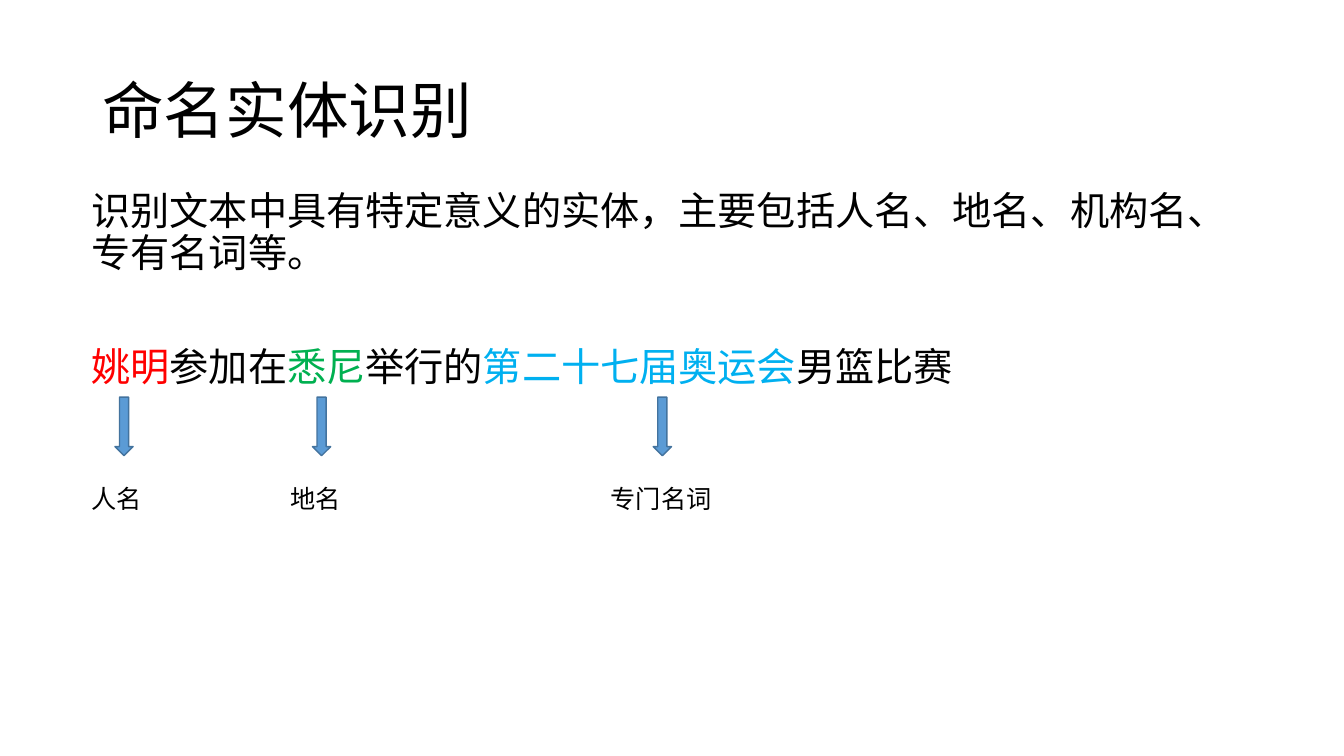
from pptx import Presentation
from pptx.dml.color import RGBColor
from pptx.enum.shapes import MSO_SHAPE
from pptx.enum.text import MSO_ANCHOR
from pptx.util import Pt

DOWN_ARROW = MSO_SHAPE.DOWN_ARROW
TOP = MSO_ANCHOR.TOP
MIDDLE = MSO_ANCHOR.MIDDLE

COLOURS = {
    "text": "000000",
    "person": "FF0000",
    "place": "00B050",
    "term": "00B0F0",
    "arrow": "5B9BD5",
    "arrow_line": "43739E",
}

TITLE = [("命名实体识别", "text")]
DEFINITION = [("识别文本中具有特定意义的实体，主要包括人名、地名、机构名、专有名词等。", "text")]
EXAMPLE = [
    ("姚明", "person"),
    ("参加在", "text"),
    ("悉尼", "place"),
    ("举行的", "text"),
    ("第二十七届奥运会", "term"),
    ("男篮比赛", "text"),
]
ENTITIES = [
    ("人名", 58.3, 67.7, 82.1),
    ("地名", 200.2, 59.8, 223.2),
    ("专门名词", 429.1, 102.2, 466.6),
]


def colour(name):
    return RGBColor.from_string(COLOURS[name])


def set_values(target, values):
    for name, value in values.items():
        setattr(target, name, value)


def add_text(page, place, paragraphs, size, anchor=TOP):
    box = page.shapes.add_textbox(*map(Pt, place))
    frame = box.text_frame
    set_values(frame, {"word_wrap": True, "vertical_anchor": anchor})
    for index, (spans, spacing) in enumerate(paragraphs):
        para = frame.add_paragraph() if index else frame.paragraphs[0]
        set_values(para, spacing)
        for text, colour_name in spans:
            span = para.add_run()
            span.text = text
            set_values(span.font, {"size": Pt(size), "name": "Calibri"})
            span.font.color.rgb = colour(colour_name)


def add_arrow(page, left):
    arrow = page.shapes.add_shape(DOWN_ARROW, Pt(left), Pt(283.7), Pt(13), Pt(41.8))
    arrow.shadow.inherit = False
    arrow.fill.solid()
    arrow.fill.fore_color.rgb = colour("arrow")
    arrow.line.color.rgb = colour("arrow_line")
    arrow.line.width = Pt(1)


def main():
    deck = Presentation()
    set_values(deck, {"slide_width": Pt(960), "slide_height": Pt(540)})
    page = deck.slides.add_slide(deck.slide_layouts[6])

    add_text(page, (66, 28.8, 828, 104.4), [(TITLE, {"line_spacing": 0.9})], 44, MIDDLE)
    body = [
        (DEFINITION, {"line_spacing": 0.9, "space_before": Pt(10)}),
        (EXAMPLE, {"line_spacing": 0.9, "space_before": Pt(51)}),
    ]
    add_text(page, (58.3, 133.2, 828, 330.5), body, 28)

    for label, left, width, arrow_left in ENTITIES:
        add_arrow(page, arrow_left)
        add_text(page, (left, 342, width, 28.8), [([(label, "text")], {})], 18)

    deck.save("out.pptx")


main()
